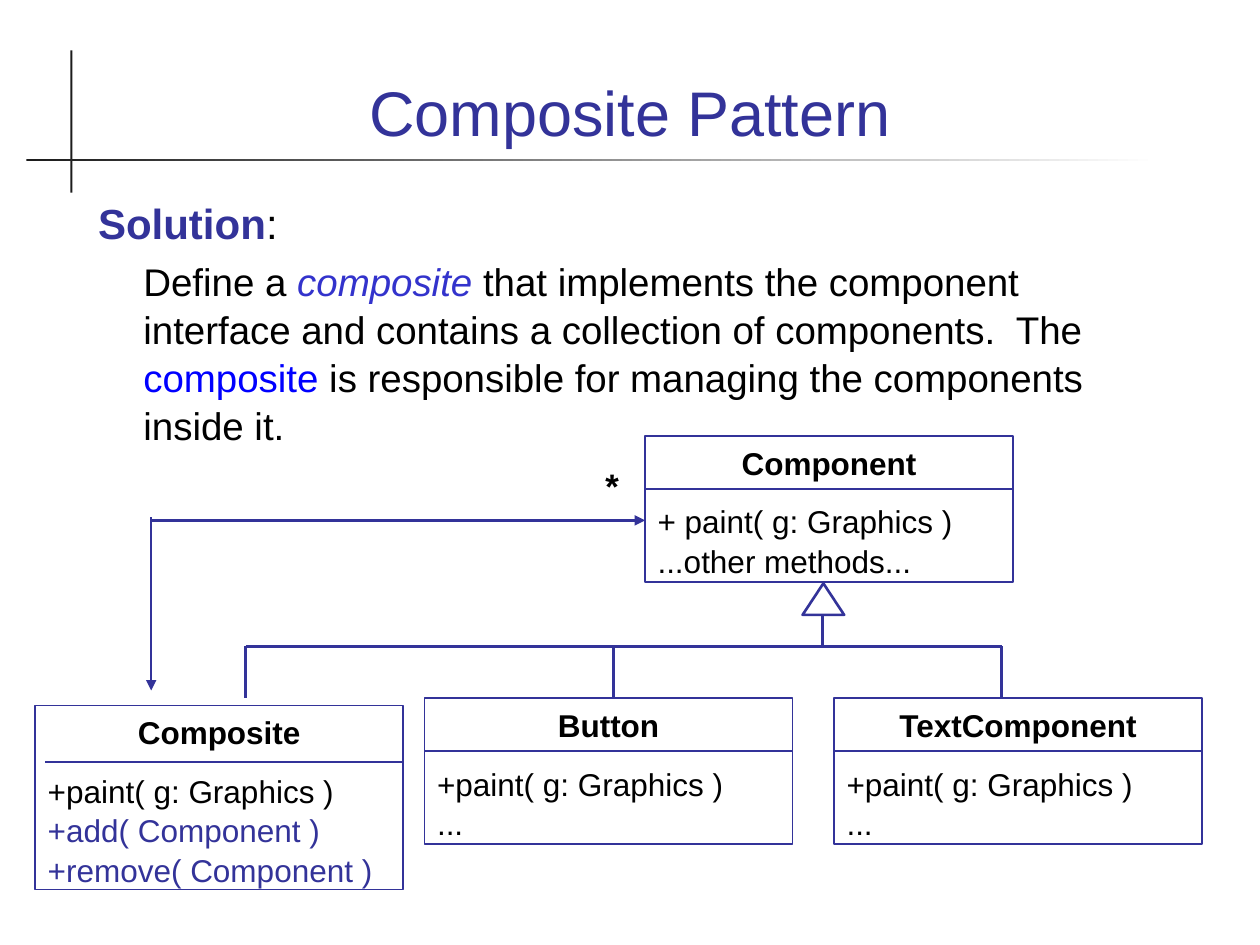
from lxml.etree import SubElement
from pptx import Presentation
from pptx.dml.color import RGBColor
from pptx.enum.shapes import MSO_CONNECTOR, MSO_SHAPE
from pptx.enum.text import MSO_ANCHOR, PP_ALIGN
from pptx.oxml.ns import qn
from pptx.util import Inches, Pt

INDIGO, BLACK, CHARCOAL = "333399", "000000", "1C1C1C"
rgb = RGBColor.from_string

deck = Presentation()
deck.slide_width, deck.slide_height = Inches(10), Inches(7.5)
page = deck.slides.add_slide(deck.slide_layouts[6])
shapes = page.shapes
column, row = deck.slide_width / 100, deck.slide_height / 75


def write(box, text, new=True, size=18, color=BLACK, bold=False, italic=False,
          font="Arial", align=PP_ALIGN.LEFT, before=0, left=0, indent=0):
    frame = box.text_frame
    frame.word_wrap = True
    para = frame.paragraphs[-1]
    if new and para.runs:
        para = frame.add_paragraph()
    if new:
        para.alignment, para.space_before, para.line_spacing = align, Pt(before), 1.04
        properties = para._p.get_or_add_pPr()
        properties.set("marL", str(int(left * column)))
        properties.set("indent", str(int(indent * column)))
    span = para.add_run()
    span.text = text
    span.font.name, span.font.size = font, Pt(size)
    span.font.bold, span.font.italic = bold, italic
    span.font.color.rgb = rgb(color)


def connect(x1, y1, x2, y2, width=1.5, arrow=None):
    line = shapes.add_connector(MSO_CONNECTOR.STRAIGHT, int(x1 * column), int(y1 * row),
                                int(x2 * column), int(y2 * row))
    line.line.width = Pt(width)
    line.line.color.rgb = rgb(INDIGO)
    if arrow:
        SubElement(line.line._get_or_add_ln(), qn(f"a:{arrow}"), type="triangle")
    SubElement(line._element.spPr, qn("a:effectLst"))


for left, top, width, height in [(5.6, 4, 0.15, 11.3), (2.1, 12.65, 89.8, 0.15)]:
    rule = shapes.add_shape(MSO_SHAPE.RECTANGLE, int(left * column), int(top * row),
                            int(width * column), int(height * row))
    rule.shadow.inherit = False
    rule.line.fill.background()
    if height > width:
        rule.fill.solid()
        rule.fill.fore_color.rgb = rgb(CHARCOAL)
    else:
        rule.fill.gradient()
        rule.fill.gradient_angle = 0
        for stop, color in zip(rule.fill.gradient_stops, (CHARCOAL, "FFFFFF")):
            stop.color.rgb = rgb(color)

title = shapes.add_textbox(int(6.7 * column), int(2.8 * row), int(86.6 * column), int(9.5 * row))
title.text_frame.vertical_anchor = MSO_ANCHOR.BOTTOM
write(title, "Composite Pattern", size=36, color=INDIGO, align=PP_ALIGN.CENTER)

body = shapes.add_textbox(int(6.7 * column), int(15 * row), int(86.6 * column), int(20 * row))
write(body, "Solution", size=24, color=INDIGO, bold=True, before=5, left=3.7, indent=-3.6)
write(body, ":", new=False, size=24)
write(body, "Define a ", size=22, before=5, left=3.7)
for text, color, italic in [
    ("composite", "3333CC", True),
    (" that implements the component interface and contains a collection of components.  The ",
     BLACK, False),
    ("composite", "0000FF", False),
    (" is responsible for managing the components inside it.", BLACK, False),
]:
    write(body, text, new=False, size=22, color=color, italic=italic)

classes = [
    ("Composite", 2.8, 56, 14.6, 4.5, 0.8,
     [("+paint( g: Graphics )", BLACK), ("+add( Component )", INDIGO),
      ("+remove( Component )", INDIGO)]),
    ("Component", 51.2, 34.6, 11.6, 4.2, 0,
     [("+ paint( g: Graphics )", BLACK), ("...other methods...", BLACK)]),
    ("Button", 33.7, 55.4, 11.6, 4.2, 0, [("+paint( g: Graphics )", BLACK), ("...", BLACK)]),
    ("TextComponent", 66.2, 55.4, 11.6, 4.2, 0,
     [("+paint( g: Graphics )", BLACK), ("...", BLACK)]),
]
class_width = 29.2
for name, left, top, height, header, inset, methods in classes:
    box = shapes.add_shape(MSO_SHAPE.RECTANGLE, int(left * column), int(top * row),
                           int(class_width * column), int(height * row))
    box.shadow.inherit = False
    box.fill.background()
    box.line.color.rgb = rgb(INDIGO)
    box.line.width = Pt(1)
    box.text_frame.vertical_anchor = MSO_ANCHOR.TOP
    write(box, name, bold=True, align=PP_ALIGN.CENTER)
    for index, (method, color) in enumerate(methods):
        write(box, method, color=color, before=0 if index else 11.2)
    connect(left + inset, top + header, left + class_width, top + header, width=1)

triangle = shapes.add_shape(MSO_SHAPE.ISOSCELES_TRIANGLE, int(63.7 * column), int(46.3 * row),
                            int(3.3 * column), int(2.5 * row))
triangle.shadow.inherit = False
triangle.fill.background()
triangle.line.color.rgb = rgb(INDIGO)
triangle.line.width = Pt(1.5)

branch, child_top = 51.3, 55.4
connect(65.3, 48.8, 65.3, branch)
for start, end in [(48.7, 79.5), (19.5, 50.3)]:
    connect(start, branch, end, branch)
for child in (19.5, 48.7, 79.5):
    connect(child, branch, child, child_top)

connect(12, 41.3, 51.2, 41.3, arrow="tailEnd")
connect(12, 54.8, 12, 41, width=1, arrow="headEnd")

many = shapes.add_textbox(int(46.2 * column), int(36.3 * row), int(4.2 * column), int(4.4 * row))
write(many, "*", size=20, bold=True, font="Courier New", align=PP_ALIGN.RIGHT)

deck.save("out.pptx")
